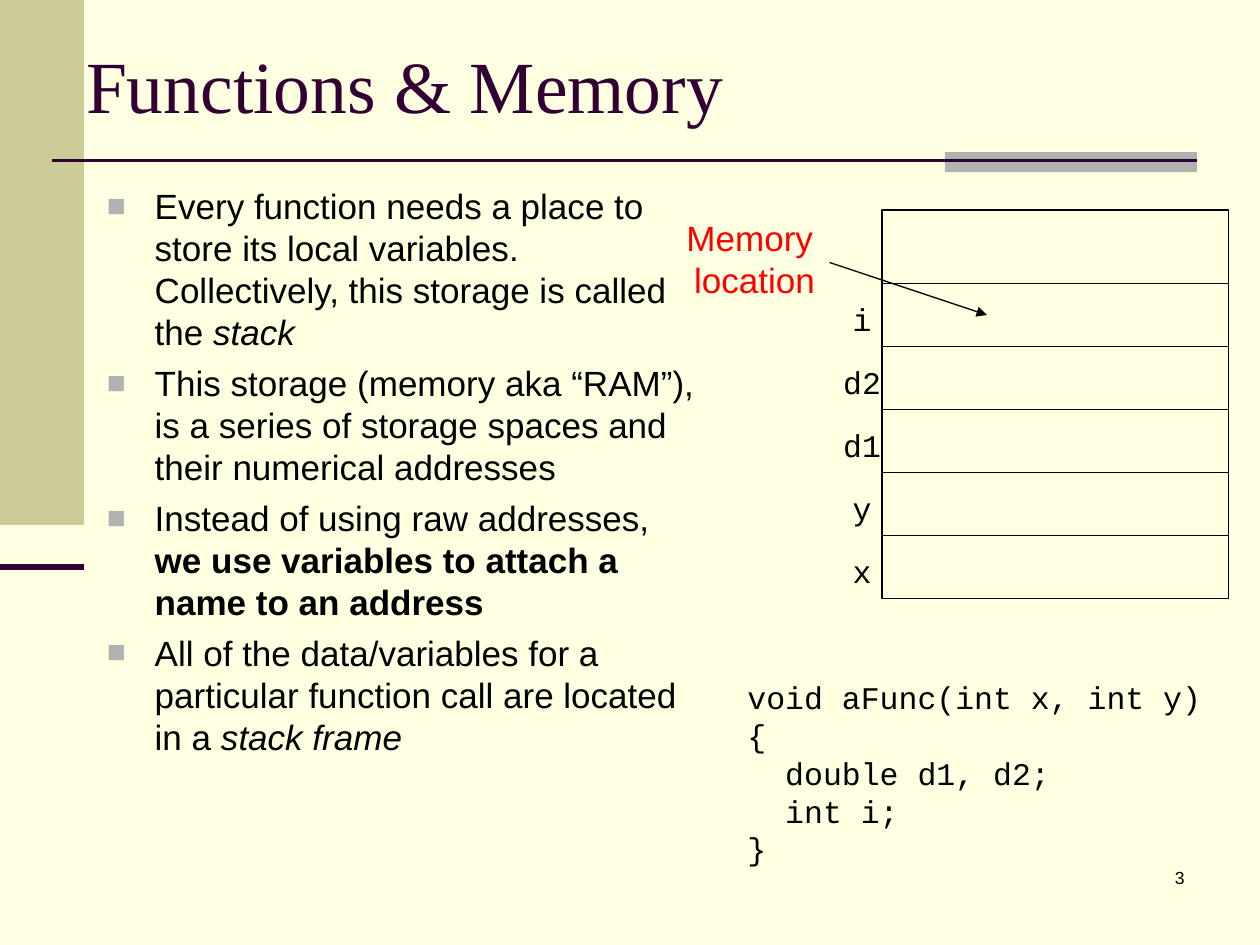
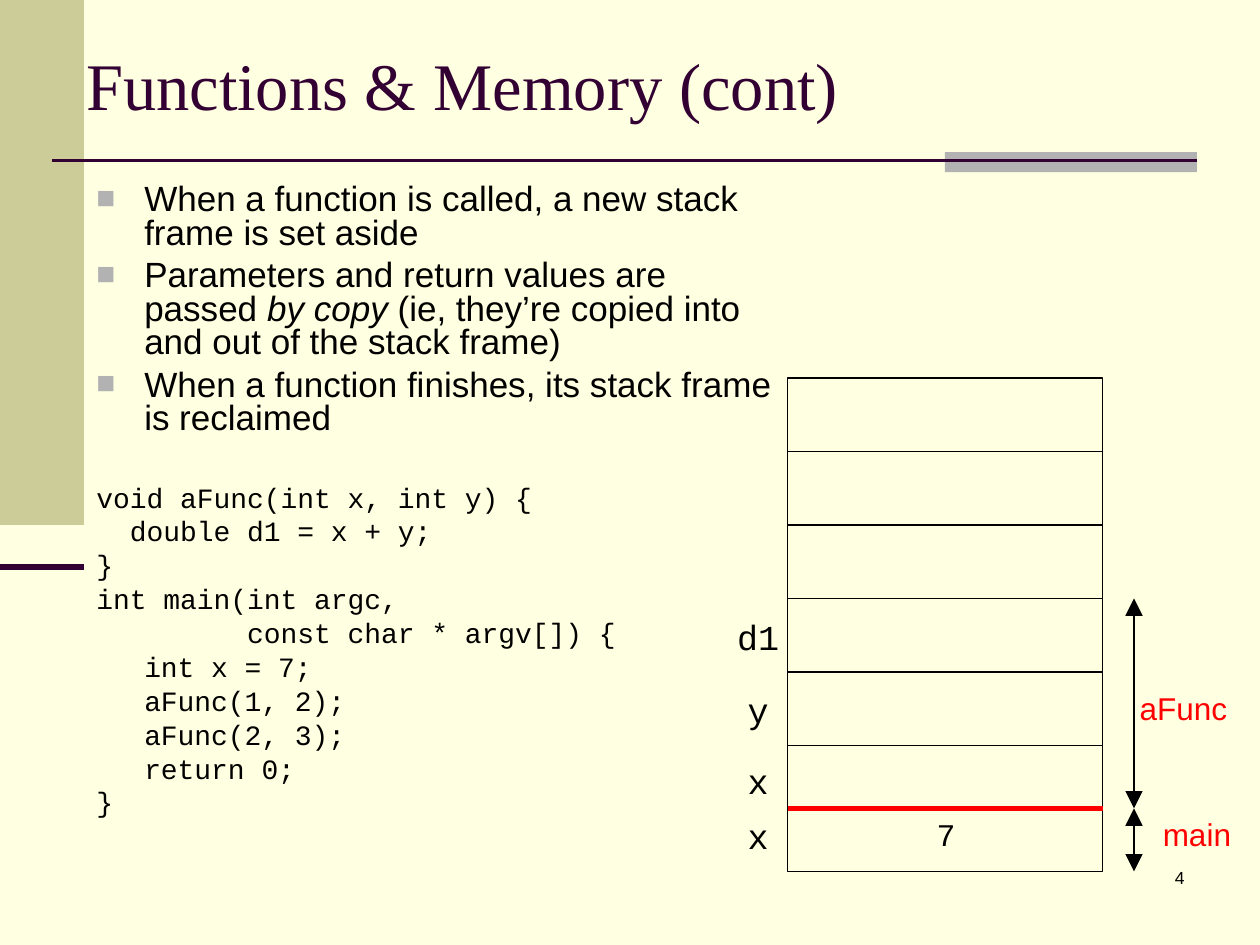
from dataclasses import dataclass
from itertools import pairwise

from lxml import etree
from pptx import Presentation
from pptx import util as u
from pptx.dml.color import RGBColor
from pptx.enum import shapes, text
from pptx.oxml import ns

CREAM = RGBColor(0xFF, 0xFF, 0xE1)
OLIVE = RGBColor(0xCC, 0xCC, 0x99)
GRAY = RGBColor(0xB2, 0xB2, 0xB2)
PLUM = RGBColor(0x33, 0x00, 0x33)
BLACK = RGBColor(0x00, 0x00, 0x00)
RED = RGBColor(0xFF, 0x00, 0x00)

SANS, SERIF, MONO = "Arial", "Times New Roman", "Courier New"

SLIDE_WIDTH, SLIDE_HEIGHT = u.Inches(10), u.Inches(7.5)
COLUMNS, ROWS = 120, 90
HANGING = u.Inches(0.38)
TITLE_ONLY = 5
FIRST_NUMBER = 3
LABEL_WIDTH, LABEL_HEIGHT = 8, 5


@dataclass(frozen=True)
class Box:
    """An area of the slide in grid columns and rows."""
    left: float
    top: float
    width: float
    height: float

    def lengths(self) -> tuple[int, int, int, int]:
        return (column(self.left), row(self.top),
                column(self.width), row(self.height))


@dataclass(frozen=True)
class Run:
    text: str
    bold: bool = False
    italic: bool = False


@dataclass(frozen=True)
class Label:
    text: str
    top: float


@dataclass(frozen=True)
class Stack:
    """Memory slots: edges are the rows of the slot borders, top to bottom."""
    left: float
    width: float
    edges: tuple[float, ...]
    label_center: float
    label_size: float
    labels: tuple[Label, ...]


@dataclass(frozen=True)
class Frame:
    """A named stack frame beside the stack."""
    top: float
    bottom: float
    name: str
    name_box: Box


def column(count: float) -> int:
    return round(SLIDE_WIDTH * count / COLUMNS)


def row(count: float) -> int:
    return round(SLIDE_HEIGHT * count / ROWS)


def set_hanging(paragraph, bullet: bool) -> None:
    """Hang the first line, with a square bullet if asked."""
    properties = paragraph._p.get_or_add_pPr()
    properties.set("marL", str(HANGING))
    properties.set("indent", str(-HANGING))
    if bullet:
        color = etree.SubElement(properties, ns.qn("a:buClr"))
        etree.SubElement(color, ns.qn("a:srgbClr"), val=str(GRAY))
        etree.SubElement(properties, ns.qn("a:buSzPct"), val="90000")
        etree.SubElement(properties, ns.qn("a:buFont"), typeface=SANS)
        etree.SubElement(properties, ns.qn("a:buChar"), char="■")


def write(frame, paragraphs, *, size: float, font: str = SANS,
          color: RGBColor = BLACK, align=text.PP_ALIGN.LEFT,
          hanging: bool = False, bullet: bool = False,
          spacing: float | None = None, before: float = 0,
          lead: float = 0) -> None:
    """Append paragraphs, each a string or a list of strings and runs.

    lead is the space above the first one when it follows other text.
    """
    for index, content in enumerate(paragraphs):
        starts_box = not frame.text
        paragraph = frame.paragraphs[0] if starts_box else frame.add_paragraph()
        if hanging:
            set_hanging(paragraph, bullet)
        paragraph.alignment = align
        if spacing:
            paragraph.line_spacing = spacing
        if not starts_box:
            paragraph.space_before = u.Pt(lead if lead and index == 0 else before)
        for part in [content] if isinstance(content, str) else content:
            style = Run(part) if isinstance(part, str) else part
            for position, line in enumerate(style.text.split("\n")):
                if position:
                    paragraph.add_line_break()
                run = paragraph.add_run()
                run.text = line
                run.font.name = font
                run.font.size = u.Pt(size)
                run.font.bold = style.bold
                run.font.italic = style.italic
                run.font.color.rgb = color


def add_text(slide, box: Box, paragraphs, *, wrap: bool = True, **style):
    frame = slide.shapes.add_textbox(*box.lengths()).text_frame
    frame.word_wrap = wrap
    write(frame, paragraphs, **style)
    return frame


def add_rectangle(slide, box: Box, fill: RGBColor | None = None) -> None:
    """A filled band, or a thin black outline when there is no fill."""
    shape = slide.shapes.add_shape(shapes.MSO_SHAPE.RECTANGLE, *box.lengths())
    shape.shadow.inherit = False
    if fill:
        shape.fill.solid()
        shape.fill.fore_color.rgb = fill
        shape.line.fill.background()
    else:
        shape.fill.background()
        shape.line.color.rgb = BLACK
        shape.line.width = u.Pt(0.75)


def add_line(slide, start: tuple[float, float], end: tuple[float, float], *,
             color: RGBColor = BLACK, width: float = 0.75,
             arrows: tuple[str, ...] = (), arrow_size: str = "med") -> None:
    """Arrows names the ends that get a head: headEnd, then tailEnd."""
    connector = slide.shapes.add_connector(
        shapes.MSO_CONNECTOR.STRAIGHT, column(start[0]), row(start[1]),
        column(end[0]), row(end[1]))
    connector.line.color.rgb = color
    connector.line.width = u.Pt(width)
    outline = connector.line._get_or_add_ln()
    for arrow in arrows:
        etree.SubElement(outline, ns.qn(f"a:{arrow}"), type="triangle",
                         w=arrow_size, len=arrow_size)
    etree.SubElement(connector._element.spPr, ns.qn("a:effectLst"))


def add_stack(slide, stack: Stack) -> None:
    top, *inner, bottom = stack.edges
    add_rectangle(slide, Box(stack.left, top, stack.width, bottom - top))
    for edge in inner:
        add_line(slide, (stack.left, edge), (stack.left + stack.width, edge))
    for label in stack.labels:
        box = Box(stack.label_center - LABEL_WIDTH / 2, label.top,
                  LABEL_WIDTH, LABEL_HEIGHT)
        add_text(slide, box, [label.text], wrap=False, size=stack.label_size,
                 font=MONO, align=text.PP_ALIGN.CENTER)


def start_slide(presentation, number: int, heading: str, box: Box, size: float):
    """Add a slide with the shared bands, rules, title and number."""
    slide = presentation.slides.add_slide(presentation.slide_layouts[TITLE_ONLY])
    add_rectangle(slide, Box(0, 0, 8, 50), OLIVE)
    add_rectangle(slide, Box(90, 14.5, 24, 1.9), GRAY)
    add_line(slide, (5, 15.3), (114, 15.3), color=PLUM, width=1.5)
    add_line(slide, (0, 54), (8, 54), color=PLUM, width=3.5)

    title = slide.shapes.title
    title.left, title.top, title.width, title.height = box.lengths()
    title.text_frame.auto_size = text.MSO_AUTO_SIZE.NONE
    title.text_frame.vertical_anchor = text.MSO_ANCHOR.MIDDLE
    write(title.text_frame, [heading], size=size, font=SERIF, color=PLUM)

    add_text(slide, Box(89, 82, 25, 6), [str(number)], size=10,
             align=text.PP_ALIGN.RIGHT)
    return slide


def build_memory_slide(presentation, number: int) -> None:
    slide = start_slide(presentation, number, "Functions & Memory",
                        Box(7, 3, 106, 10), 42)
    add_text(slide, Box(9, 17, 59, 72), [
        ["Every function needs a place to store its local variables. "
         "Collectively, this storage is called the ", Run("stack", italic=True)],
        "This storage (memory aka “RAM”), is a series of storage spaces "
        "and their numerical addresses",
        ["Instead of using raw addresses, ",
         Run("we use variables to attach a name to an address", bold=True)],
        ["All of the data/variables for a particular function call are "
         "located in a ", Run("stack frame", italic=True)],
    ], size=20, hanging=True, bullet=True, before=5)

    add_text(slide, Box(64, 20, 14.8, 9.2), ["Memory\n location"], wrap=False,
             size=20, color=RED, align=text.PP_ALIGN.CENTER)
    add_text(slide, Box(70, 64, 46, 19), [
        "void aFunc(int x, int y) {",
        "  double d1, d2;",
        "  int i;",
        "}",
    ], size=18, font=MONO)

    edges = (20, *range(27, 58, 6))
    names = ("i", "d2", "d1", "y", "x")
    labels = tuple(Label(name, edge + 1) for name, edge in zip(names, edges[1:]))
    add_stack(slide, Stack(84, 33, edges, 82.1, 18, labels))
    add_line(slide, (79, 25), (94, 30), arrows=("tailEnd",))


def build_frames_slide(presentation, number: int) -> None:
    slide = start_slide(presentation, number, "Functions & Memory (cont)",
                        Box(7, 2, 109, 12), 38)
    body = add_text(slide, Box(8, 17, 68, 72), [
        "When a function is called, a new stack frame is set aside",
        ["Parameters and return values are passed ", Run("by copy", italic=True),
         " (ie, they’re copied into and out of the stack frame)"],
        "When a function finishes, its stack frame is reclaimed",
    ], size=20, hanging=True, bullet=True, spacing=0.8, before=5)
    write(body, [
        "void aFunc(int x, int y) {",
        "  double d1 = x + y;",
        "}",
        "int main(int argc,",
        "         const char * argv[]) {",
        "\tint x = 7;",
        "\taFunc(1, 2);",
        "\taFunc(2, 3);",
        "\treturn 0;",
        "}",
    ], size=16, font=MONO, hanging=True, spacing=0.8, before=4, lead=28)

    left, width, frame_edge, bottom = 75, 30, 77, 83
    add_stack(slide, Stack(
        left, width, (*range(36, 72, 7), frame_edge, bottom), 72.2, 20,
        (Label("d1", 58), Label("y", 65), Label("x", 71.7), Label("x", 77))))
    add_text(slide, Box(88, 77, 4.2, LABEL_HEIGHT), ["7"], wrap=False, size=18,
             font=MONO, align=text.PP_ALIGN.CENTER)
    add_line(slide, (left, frame_edge), (left + width, frame_edge),
             color=RED, width=3)

    names = (("aFunc", Box(105.4, 65, 14.6, LABEL_HEIGHT)),
             ("main", Box(108, 77, 12, LABEL_HEIGHT)))
    spans = pairwise((57, frame_edge, bottom))
    for frame in (Frame(*span, *name) for span, name in zip(spans, names)):
        add_line(slide, (108, frame.top), (108, frame.bottom),
                 arrows=("headEnd", "tailEnd"), arrow_size="lg")
        add_text(slide, frame.name_box, [frame.name], size=18, color=RED,
                 align=text.PP_ALIGN.CENTER)


def main() -> None:
    presentation = Presentation()
    presentation.slide_width, presentation.slide_height = SLIDE_WIDTH, SLIDE_HEIGHT
    background = presentation.slide_master.background.fill
    background.solid()
    background.fore_color.rgb = CREAM
    builders = (build_memory_slide, build_frames_slide)
    for number, build in enumerate(builders, start=FIRST_NUMBER):
        build(presentation, number)
    presentation.save("out.pptx")


if __name__ == "__main__":
    main()
